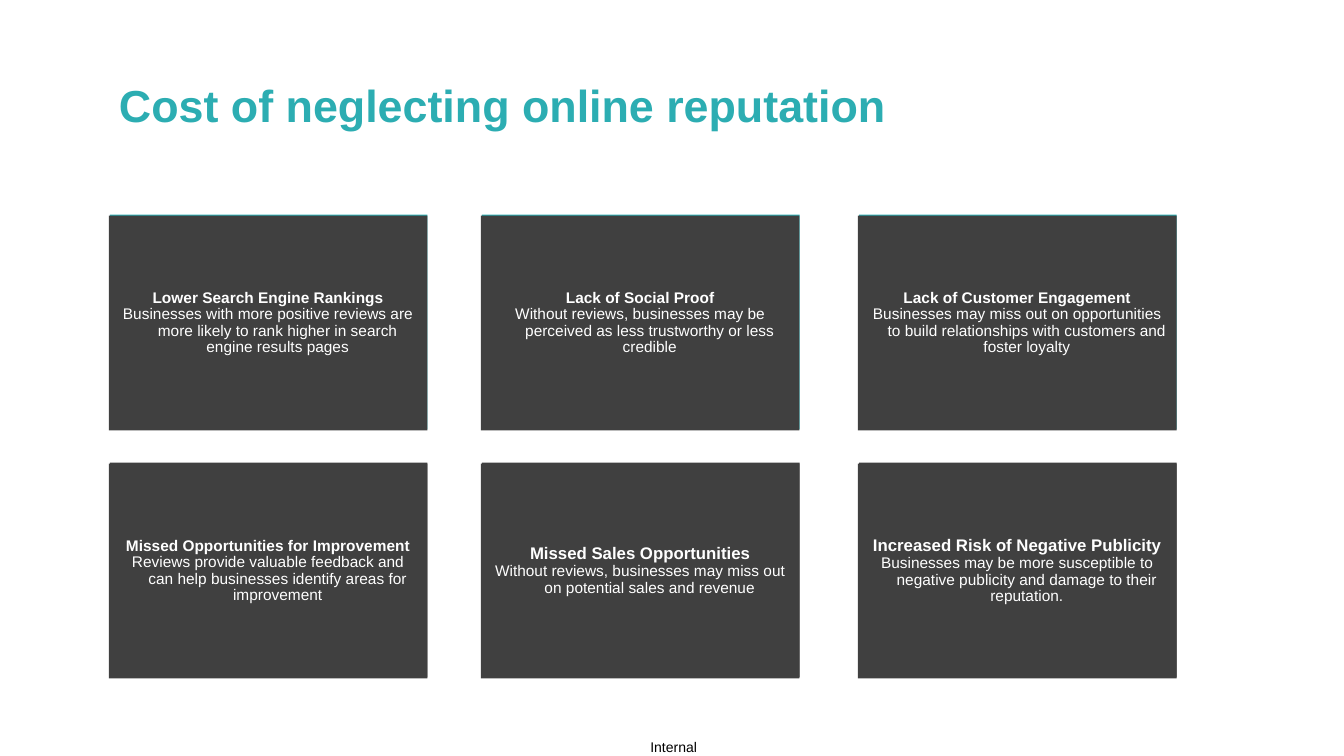
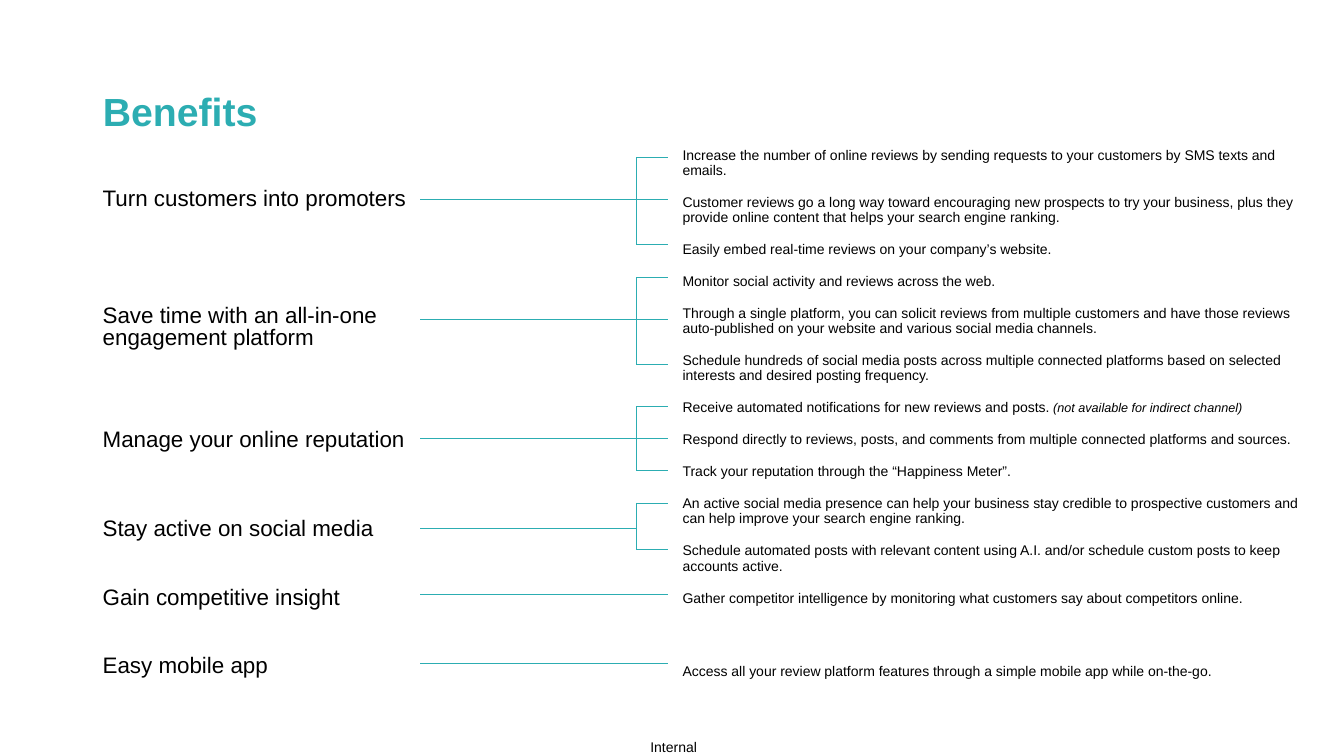
from dataclasses import dataclass

from lxml import etree
from pptx import Presentation
from pptx import util as u
from pptx.dml.color import RGBColor
from pptx.enum import shapes, text
from pptx.oxml import ns

TEAL = RGBColor(0x2C, 0xAD, 0xB2)
DARK = RGBColor(0x40, 0x40, 0x40)
WHITE = RGBColor(0xFF, 0xFF, 0xFF)
BLACK = RGBColor(0, 0, 0)
FONT = "Arial"
LEFT, MID = text.PP_ALIGN.LEFT, text.PP_ALIGN.CENTER

# Card grid
COLS = (1.08, 4.77, 8.51)
ROWS = (2.14, 4.6)
CARD_W, CARD_H, EDGE = 3.15, 2.13, 0.01

# Bracket columns
STEM_X, FORK_X, TIP_X = 4.17, 6.31, 6.63


@dataclass
class Card:
    head: str
    body: str
    size: int = 11


@dataclass
class Topic:
    name: str
    top: float
    stem: float
    ticks: tuple = ()
    width: float = 5.75
    lead: float = 0.9


CARDS = (
    Card("Lower Search Engine Rankings",
         "Businesses with more positive reviews are more likely to rank higher "
         "in search engine results pages"),
    Card("Lack of Social Proof",
         "Without reviews, businesses may be perceived as less trustworthy or "
         "less credible"),
    Card("Lack of Customer Engagement",
         "Businesses may miss out on opportunities to build relationships with "
         "customers and foster loyalty"),
    Card("Missed Opportunities for Improvement",
         "Reviews provide valuable feedback and can help businesses identify "
         "areas for improvement"),
    Card("Missed Sales Opportunities",
         "Without reviews, businesses may miss out on potential sales and "
         "revenue", 12),
    Card("Increased Risk of Negative Publicity",
         "Businesses may be more susceptible to negative publicity and damage "
         "to their reputation.", 12),
)

TOPICS = (
    Topic("Turn customers into promoters", 1.81, 1.98, (1.56, 1.98, 2.42)),
    Topic("Save time with an all-in-one engagement platform", 2.99, 3.17,
          (2.75, 3.17, 3.61), 4.15, 0.8),
    Topic("Manage your online reputation", 4.2, 4.35, (4.03, 4.35, 4.67)),
    Topic("Stay active on social media", 5.08, 5.24, (4.99, 5.45)),
    Topic("Gain competitive insight", 5.77, 5.9),
    Topic("Easy mobile app", 6.44, 6.58),
)

NOTICE = "Receive automated notifications for new reviews and posts. "
LIMIT = "(not available for indirect channel)"
POINTS = (
    "Increase the number of online reviews by sending requests to your "
    "customers by SMS texts and emails.",
    "Customer reviews go a long way toward encouraging new prospects to try "
    "your business, plus they provide online content that helps your search "
    "engine ranking.",
    "Easily embed real-time reviews on your company’s website.",
    "Monitor social activity and reviews across the web.",
    "Through a single platform, you can solicit reviews from multiple "
    "customers and have those reviews auto-published on your website and "
    "various social media channels.",
    "Schedule hundreds of social media posts across multiple connected "
    "platforms based on selected interests and desired posting frequency.",
    NOTICE,
    "Respond directly to reviews, posts, and comments from multiple connected "
    "platforms and sources.",
    "Track your reputation through the “Happiness Meter”.",
    "An active social media presence can help your business stay credible to "
    "prospective customers and can help improve your search engine ranking.",
    "Schedule automated posts with relevant content using A.I. and/or schedule "
    "custom posts to keep accounts active.",
    "Gather competitor intelligence by monitoring what customers say about "
    "competitors online.",
)
LAST = ("Access all your review platform features through a simple mobile app "
        "while on-the-go.")


def style(run, size: float, color: RGBColor, bold=False, italic=False) -> None:
    font = run.font
    font.name, font.size = FONT, u.Pt(size)
    font.bold, font.italic = bold, italic
    font.color.rgb = color


def write(frame, words: str, *, size=10, color=BLACK, bold=False, align=LEFT,
          lead=0.9, before=0, after=0, hang=0.0):
    """Add one paragraph, reusing the first one while it is blank."""
    para = frame.paragraphs[0]
    if para.runs:
        para = frame.add_paragraph()
    props = para._p.get_or_add_pPr()
    props.set("marL", str(u.Inches(hang)))
    props.set("indent", str(-u.Inches(hang)))
    etree.SubElement(props, ns.qn("a:buNone"))
    para.alignment, para.line_spacing = align, lead
    para.space_before, para.space_after = u.Pt(before), u.Pt(after)
    run = para.add_run()
    run.text = words
    style(run, size, color, bold)
    return para


def place(shape, x: float, y: float, w: float, h: float) -> None:
    shape.left, shape.top = u.Inches(x), u.Inches(y)
    shape.width, shape.height = u.Inches(w), u.Inches(h)


def box(slide, x: float, y: float, w: float, h: float):
    shape = slide.shapes.add_textbox(*map(u.Inches, (x, y, w, h)))
    shape.text_frame.word_wrap = True
    return shape.text_frame


def rect(slide, x: float, y: float, fill: RGBColor, w: float = CARD_W):
    shape = slide.shapes.add_shape(shapes.MSO_SHAPE.RECTANGLE,
                                   *map(u.Inches, (x, y, w, CARD_H)))
    shape.shadow.inherit = False
    shape.fill.solid()
    shape.fill.fore_color.rgb = fill
    shape.line.fill.background()
    return shape


def rule(slide, x1: float, y1: float, x2: float, y2: float) -> None:
    line = slide.shapes.add_connector(shapes.MSO_CONNECTOR.STRAIGHT,
                                      *map(u.Inches, (x1, y1, x2, y2)))
    line.line.color.rgb = TEAL
    line.line.width = u.Pt(0.5)
    etree.SubElement(line._element.spPr, ns.qn("a:effectLst"))


def start(deck, layout: int, words: str, x: float, y: float, size: int):
    """Add a slide with the shared title style and footer."""
    slide = deck.slides.add_slide(deck.slide_layouts[layout])
    title = slide.shapes.title
    place(title, x, y, 11.5, 1.45)
    frame = title.text_frame
    frame.auto_size = text.MSO_AUTO_SIZE.NONE
    frame.vertical_anchor = text.MSO_ANCHOR.MIDDLE
    write(frame, words, size=size, color=TEAL, bold=True)
    foot = box(slide, 6.45, 7.33, 0.51, 0.17)
    foot.margin_left = foot.margin_right = 0
    foot.margin_top = foot.margin_bottom = 0
    foot.word_wrap = False
    write(foot, "Internal", lead=1.0)
    return slide


def costs(deck) -> None:
    slide = start(deck, 5, "Cost of neglecting online reputation",
                  1.08, 0.35, 32)
    for i, card in enumerate(CARDS):
        row, col = divmod(i, len(COLS))
        x, y = COLS[col], ROWS[row]
        # Backing that shows as a thin edge
        rect(slide, x + EDGE, y - EDGE, DARK if row else TEAL)
        frame = rect(slide, x, y, DARK, CARD_W + EDGE).text_frame
        frame.word_wrap = True
        frame.vertical_anchor = text.MSO_ANCHOR.MIDDLE
        write(frame, card.head, size=card.size, color=WHITE, bold=True,
              align=MID, hang=0.19)
        write(frame, card.body, size=11, color=WHITE, align=MID, hang=0.19)


def fork(slide, topic: Topic) -> None:
    """Draw the stem, and the bracket when the topic has several points."""
    ticks = topic.ticks
    rule(slide, STEM_X, topic.stem, FORK_X if ticks else TIP_X, topic.stem)
    for y in ticks:
        rule(slide, FORK_X, y, TIP_X, y)
    if ticks:
        rule(slide, FORK_X, ticks[0], FORK_X, ticks[-1])


def gains(deck) -> None:
    slide = start(deck, 1, "Benefits", 0.92, 0.4, 28)
    # Points on the right
    body = slide.placeholders[1]
    place(body, 6.67, 1.42, 6.37, 5.34)
    frame = body.text_frame
    frame.auto_size = text.MSO_AUTO_SIZE.NONE
    for i, point in enumerate(POINTS):
        para = write(frame, point, before=6 if i else 0, after=6)
        if point == NOTICE:
            run = para.add_run()
            run.text = LIMIT
            style(run, 9, BLACK, italic=True)
    write(frame, LAST, lead=3.0, before=10)
    # Topics on the left, with their brackets
    for topic in TOPICS:
        label = box(slide, 0.92, topic.top, topic.width, 0.57)
        write(label, topic.name, size=16, lead=topic.lead, after=6)
        fork(slide, topic)


def main() -> None:
    deck = Presentation()
    deck.slide_width, deck.slide_height = u.Inches(13.33), u.Inches(7.5)
    costs(deck)
    gains(deck)
    deck.save("out.pptx")


if __name__ == "__main__":
    main()
